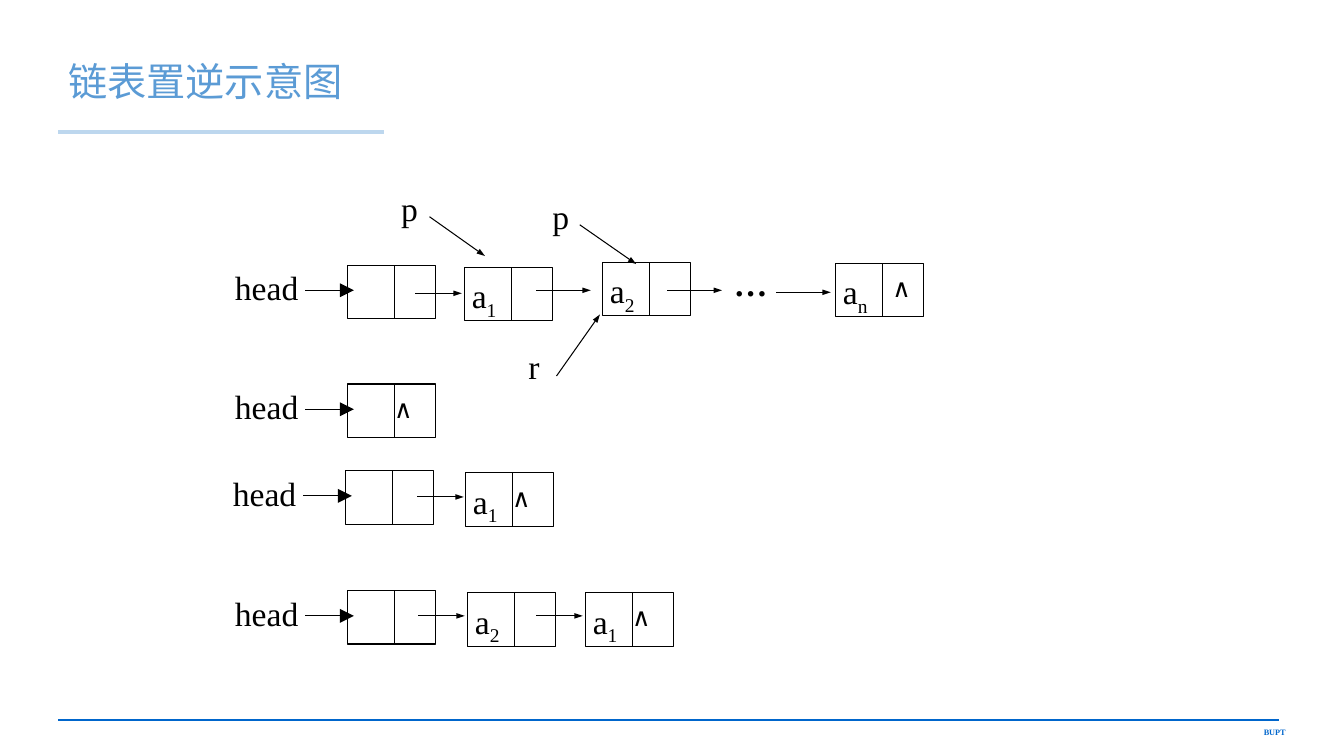
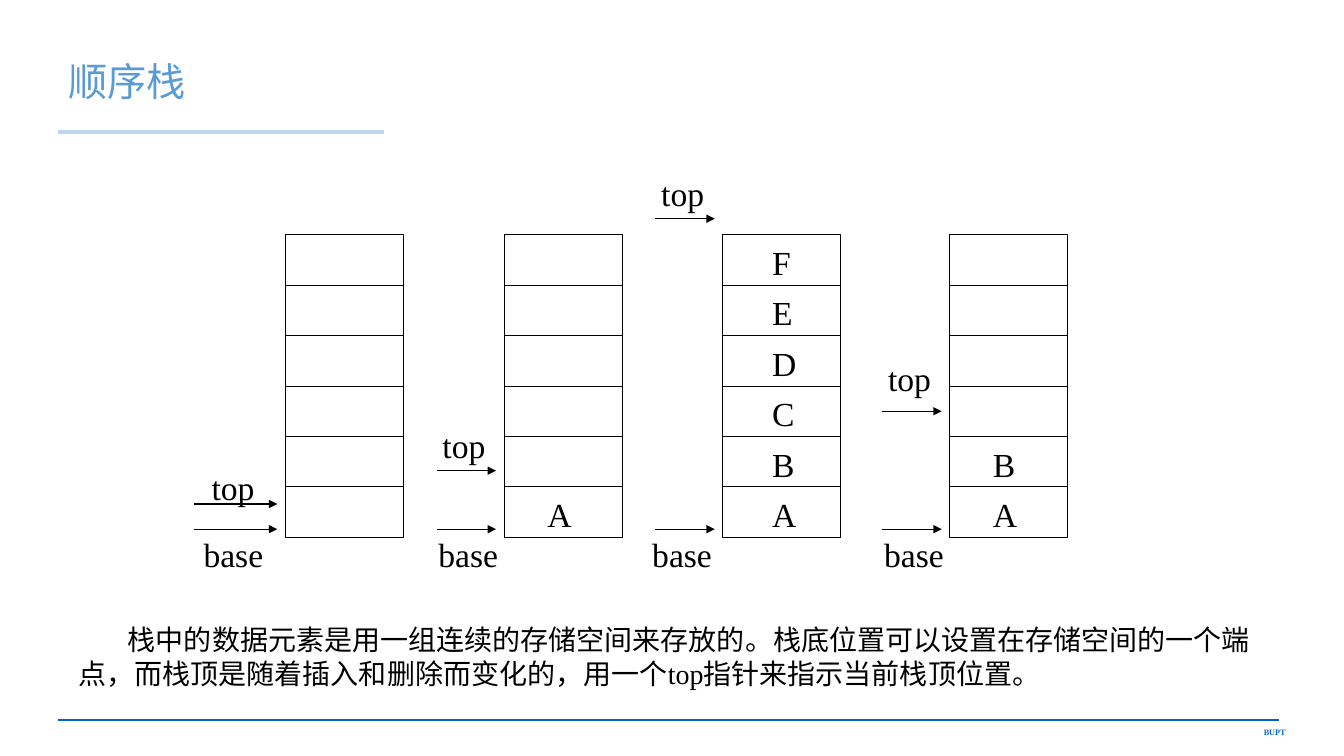
from dataclasses import dataclass

import pptx
import pptx.util
import pptx.dml.color
import pptx.enum.shapes
import pptx.enum.text
import pptx.oxml.ns
from lxml import etree

Inches, Pt = pptx.util.Inches, pptx.util.Pt
MIDDLE = pptx.enum.text.MSO_ANCHOR.MIDDLE
RIGHT = pptx.enum.text.PP_ALIGN.RIGHT


@dataclass(frozen=True)
class Theme:
    ink: str = "000000"
    title: str = "5B9BD5"
    title_rule: str = "BDD7EE"
    footer: str = "0066CC"
    latin: str = "Times New Roman"
    chinese: str = "Noto Sans CJK SC"
    symbol: str = "DejaVu Sans"
    title_size: float = 28
    label_size: float = 24
    body_size: float = 20
    symbol_size: float = 18
    footer_size: float = 5.9
    thin: float = 0.75
    footer_width: float = 1.5
    title_width: float = 3.5


THEME = Theme()
WIDTH, HEIGHT = 13.33, 7.5
MARGIN = 0.58

# Linked lists: nodes are (x, y, subscript of a, or None for the head node);
# links are (x, y, length); the last node holds the null sign.
NODE_W, NODE_H, DATA_W = 0.87, 0.53, 0.46
LISTS = [
    {"nodes": [(3.45, 2.63, None), (4.61, 2.65, "1"), (5.98, 2.6, "2"), (8.29, 2.61, "n")],
     "links": [(4.12, 2.91, 0.46), (5.32, 2.88, 0.54), (6.62, 2.88, 0.54), (7.7, 2.9, 0.54)],
     "null_inset": 0.1},
    {"nodes": [(3.45, 3.81, None)], "links": []},
    {"nodes": [(3.43, 4.67, None), (4.62, 4.69, "1")], "links": [(4.14, 4.93, 0.46)]},
    {"nodes": [(3.45, 5.86, None), (4.64, 5.88, "2"), (5.81, 5.88, "1")],
     "links": [(4.15, 6.11, 0.46), (5.32, 6.11, 0.46)]},
]
# Pointers: name, label position, arrow start, arrow end
POINTERS = [
    ("p", (3.98, 1.86), (4.26, 2.15), (4.81, 2.54)),
    ("p", (5.48, 1.94), (5.75, 2.23), (6.31, 2.62)),
    ("r", (5.24, 3.43), (5.52, 3.73), (5.95, 3.12)),
]
ELLIPSIS_AT = (7.28, 2.61)

STACK_TOP, STACK_W, CELL_H, CELLS = 2.33, 1.17, 0.5, 6
BASE_Y = 5.25
# Offsets are measured from the left edge of each stack.
STACKS = [
    {"x": 2.83, "items": "", "top_y": 5, "top_label": (-0.83, 4.58), "base_dx": -0.91, "reach": 0.91},
    {"x": 5, "items": "A", "items_dx": 0.33, "top_y": 4.67, "top_label": (-0.71, 4.17), "base_dx": -0.75},
    {"x": 7.17, "items": "FEDCBA", "items_dx": 0.39, "top_y": 2.17, "top_label": (-0.71, 1.67), "base_dx": -0.8},
    {"x": 9.42, "items": "BA", "items_dx": 0.33, "top_y": 4.08, "top_label": (-0.71, 3.5), "base_dx": -0.75},
]
STACK_NOTE = ("栈中的数据元素是用一组连续的存储空间来存放的。栈底位置可以设置在存储空间的一个端点，"
              "而栈顶是随着插入和删除而变化的，用一个top指针来指示当前栈顶位置。")


def rgb(value):
    return pptx.dml.color.RGBColor.from_string(value)


def add_text(slide, text, x, y, w, h, *, size=THEME.label_size, color=THEME.ink,
             latin=THEME.latin, asian=THEME.chinese, bold=False, subscript="",
             align=None, anchor=None, spacing=None, indent=0, wrap=True, inset=True):
    """Add a text box with one paragraph per line of text; subscript follows the last."""
    box = slide.shapes.add_textbox(Inches(x), Inches(y), Inches(w), Inches(h))
    frame = box.text_frame
    frame.word_wrap = wrap
    if anchor is not None:
        frame.vertical_anchor = anchor
    if not inset:
        frame.margin_left = frame.margin_right = frame.margin_top = frame.margin_bottom = 0
    frame.text = text
    if subscript:
        run = frame.paragraphs[-1].add_run()
        run.text = subscript
        run.font._element.set("baseline", "-25000")
    for paragraph in frame.paragraphs:
        paragraph.alignment = align
        paragraph.line_spacing = spacing
        if indent:
            paragraph._p.get_or_add_pPr().set("indent", str(Inches(indent)))
        for run in paragraph.runs:
            run.font.size = Pt(size)
            run.font.bold = bold
            run.font.color.rgb = rgb(color)
            run.font.name = latin
            etree.SubElement(run.font._element, pptx.oxml.ns.qn("a:ea"), typeface=asian)


def add_line(slide, start, end, *, color=THEME.ink, width=THEME.thin, head=None):
    """Add a line; head is the (width, length) of an arrowhead at its end."""
    line = slide.shapes.add_connector(
        pptx.enum.shapes.MSO_CONNECTOR.STRAIGHT, *(Inches(v) for v in (*start, *end)))
    line.line.color.rgb = rgb(color)
    line.line.width = Pt(width)
    if head:
        etree.SubElement(line.line._get_or_add_ln(), pptx.oxml.ns.qn("a:tailEnd"),
                         type="triangle", w=head[0], len=head[1])
    etree.SubElement(line._element.spPr, pptx.oxml.ns.qn("a:effectLst"))


def add_outline(slide, x, y, w, h):
    outline = slide.shapes.add_shape(
        pptx.enum.shapes.MSO_SHAPE.RECTANGLE, *(Inches(v) for v in (x, y, w, h)))
    outline.shadow.inherit = False
    outline.fill.background()
    outline.line.color.rgb = rgb(THEME.ink)
    outline.line.width = Pt(THEME.thin)


def add_slide(deck, title):
    slide = deck.slides.add_slide(deck.slide_layouts[6])
    add_line(slide, (MARGIN, 7.14), (12.69, 7.14), color=THEME.footer, width=THEME.footer_width)
    add_text(slide, "BUPT", 11.5, 7.17, 1.35, 0.2, size=THEME.footer_size,
             color=THEME.footer, bold=True, align=RIGHT)
    add_line(slide, (MARGIN, 1.31), (3.81, 1.31), color=THEME.title_rule, width=THEME.title_width)
    add_text(slide, title, MARGIN, 0.36, 11.29, 0.94, size=THEME.title_size,
             color=THEME.title, latin=THEME.chinese, anchor=MIDDLE, spacing=0.9)
    return slide


def draw_list(slide, nodes, links, null_inset=0):
    head_x, head_y, _ = nodes[0]
    add_text(slide, "head", head_x - 1.12, head_y + 0.02, 1.11, 0.42, inset=False)
    add_line(slide, (head_x - 0.42, head_y + 0.25), (head_x + 0.06, head_y + 0.25), head=("lg", "lg"))
    for x, y, subscript in nodes:
        add_outline(slide, x, y, NODE_W, NODE_H)
        add_line(slide, (x + DATA_W, y), (x + DATA_W, y + NODE_H))
        if subscript:
            add_text(slide, "a", x + 0.07, y + 0.08, 0.33, 0.39, subscript=subscript, inset=False)
    last_x, last_y, _ = nodes[-1]
    add_text(slide, "∧", last_x + DATA_W + null_inset, last_y + 0.09, 0.33, 0.38,
             size=THEME.symbol_size, latin=THEME.symbol, asian=THEME.symbol, inset=False)
    for x, y, length in links:
        add_line(slide, (x, y), (x + length, y), head=("sm", "med"))


def draw_stack(slide, x, items, top_y, top_label, base_dx, items_dx=0, reach=0.67):
    add_outline(slide, x, STACK_TOP, STACK_W, CELLS * CELL_H)
    for row in range(1, CELLS):
        y = STACK_TOP + row * CELL_H
        add_line(slide, (x, y), (x + STACK_W, y))
    for y in (BASE_Y, top_y):
        add_line(slide, (x - reach, y), (x - 0.08, y), head=("med", "med"))
    add_text(slide, "base", x + base_dx, BASE_Y, 0.79, 0.5, wrap=False)
    add_text(slide, "top", x + top_label[0], top_label[1], 0.63, 0.5, wrap=False)
    if items:
        items_y = STACK_TOP + (CELLS - len(items)) * CELL_H - 0.08
        add_text(slide, "\n".join(items), x + items_dx, items_y, 0.44,
                 len(items) * CELL_H + 0.1, spacing=1.25, wrap=False)


def main():
    deck = pptx.Presentation()
    deck.slide_width, deck.slide_height = Inches(WIDTH), Inches(HEIGHT)

    reversal = add_slide(deck, "链表置逆示意图")
    for linked_list in LISTS:
        draw_list(reversal, **linked_list)
    add_text(reversal, "…", *ELLIPSIS_AT, 0.46, 0.5, bold=True, asian=THEME.latin, inset=False)
    for name, label_at, start, end in POINTERS:
        add_text(reversal, name, *label_at, 0.4, 0.5, inset=False)
        add_line(reversal, start, end, head=("sm", "med"))

    sequential = add_slide(deck, "顺序栈")
    for stack in STACKS:
        draw_stack(sequential, **stack)
    add_text(sequential, STACK_NOTE, 0.68, 6.13, 12.05, 0.77, size=THEME.body_size, indent=0.49)

    deck.save("out.pptx")


if __name__ == "__main__":
    main()
